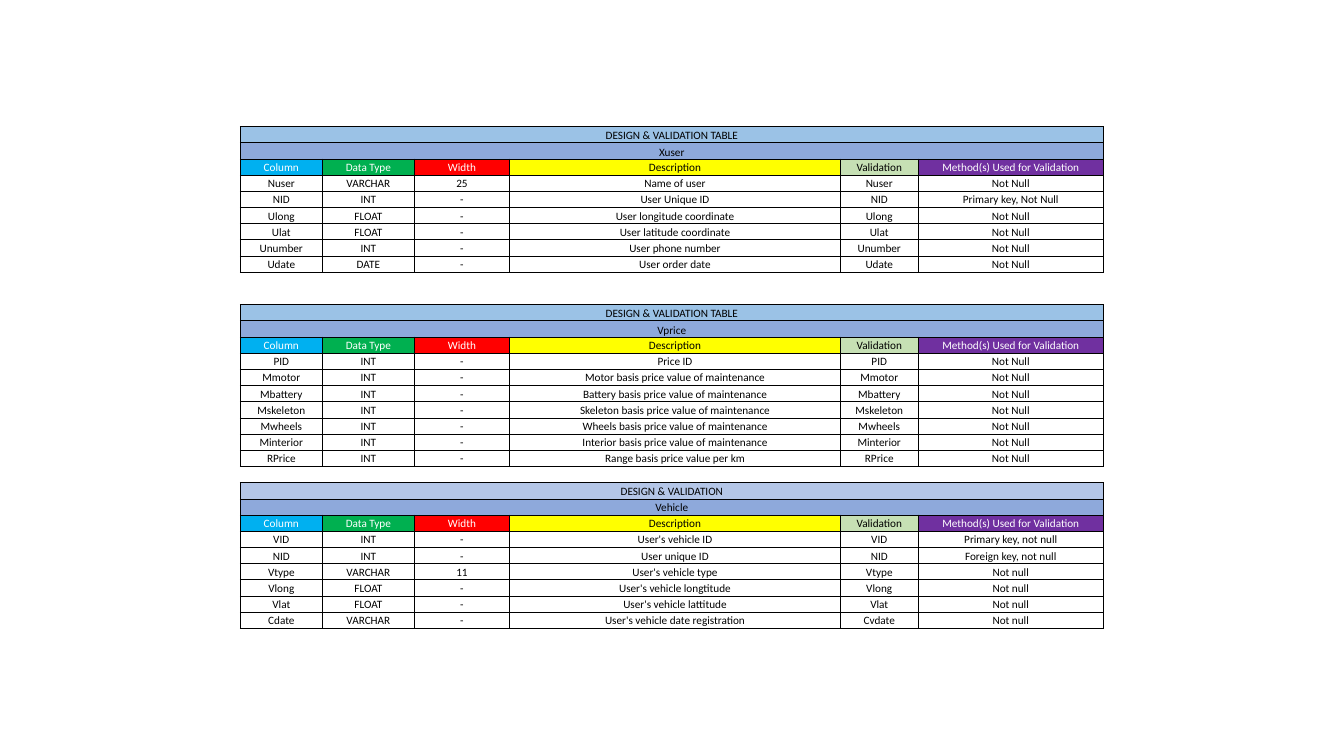
from lxml import etree
from pptx import Presentation
from pptx.dml.color import RGBColor
from pptx.enum import text
from pptx.oxml import ns
from pptx.util import Pt

BLACK, WHITE = "000000", "FFFFFF"
BOTTOM, MIDDLE = text.MSO_ANCHOR.BOTTOM, text.MSO_ANCHOR.MIDDLE
NO_STYLE = "{2D5ABB26-0587-4C30-8999-92F81FD0307C}"
LEFT, TOP, ROW_HEIGHT = 128.7, 67.8, 8.69

COLUMNS = [
    ("Column", 44.0, "00B0F0", WHITE),
    ("Data Type", 49.3, "00B050", WHITE),
    ("Width", 51.0, "FF0000", WHITE),
    ("Description", 177.2, "FFFF00", BLACK),
    ("Validation", 41.7, "C6E0B4", BLACK),
    ("Method(s) Used for Validation", 99.2, "7030A0", WHITE),
]

SECTIONS = [
    {"title": "DESIGN & VALIDATION TABLE", "name": "Xuser",
     "fill": "9BC2E6", "anchor": BOTTOM, "gap": 2,
     "fields": [
         ("Nuser", "VARCHAR", "25", "Name of user", "Nuser", "Not Null"),
         ("NID", "INT", "-", "User Unique ID", "NID", "Primary key, Not Null"),
         ("Ulong", "FLOAT", "-", "User longitude coordinate", "Ulong", "Not Null"),
         ("Ulat", "FLOAT", "-", "User latitude coordinate", "Ulat", "Not Null"),
         ("Unumber", "INT", "-", "User phone number", "Unumber", "Not Null"),
         ("Udate", "DATE", "-", "User order date", "Udate", "Not Null"),
     ]},
    {"title": "DESIGN & VALIDATION TABLE", "name": "Vprice",
     "fill": "9BC2E6", "anchor": BOTTOM, "gap": 1,
     "fields": [(field, "INT", "-", description, field, "Not Null")
                for field, description in [
         ("PID", "Price ID"),
         ("Mmotor", "Motor basis price value of maintenance"),
         ("Mbattery", "Battery basis price value of maintenance"),
         ("Mskeleton", "Skeleton basis price value of maintenance"),
         ("Mwheels", "Wheels basis price value of maintenance"),
         ("Minterior", "Interior basis price value of maintenance"),
         ("RPrice", "Range basis price value per km"),
     ]]},
    {"title": "DESIGN & VALIDATION", "name": "Vehicle",
     "fill": "B4C6E7", "anchor": MIDDLE, "gap": 0,
     "fields": [
         ("VID", "INT", "-", "User's vehicle ID", "VID", "Primary key, not null"),
         ("NID", "INT", "-", "User unique ID", "NID", "Foreign key, not null"),
         ("Vtype", "VARCHAR", "11", "User's vehicle type", "Vtype", "Not null"),
         ("Vlong", "FLOAT", "-", "User's vehicle longtitude", "Vlong", "Not null"),
         ("Vlat", "FLOAT", "-", "User's vehicle lattitude", "Vlat", "Not null"),
         ("Cdate", "VARCHAR", "-", "User's vehicle date registration", "Cvdate", "Not null"),
     ]},
]


def rgb(value):
    return RGBColor.from_string(value)


def add_borders(cell):
    tc_pr = cell._tc.get_or_add_tcPr()
    for side in ("a:lnL", "a:lnR", "a:lnT", "a:lnB"):
        ln = etree.SubElement(tc_pr, ns.qn(side), w=str(Pt(0.5)))
        fill = etree.SubElement(ln, ns.qn("a:solidFill"))
        etree.SubElement(fill, ns.qn("a:srgbClr"), val=BLACK)


def format_cell(cell, words="", fill=None, color=BLACK, anchor=MIDDLE, border=True):
    cell.margin_left = cell.margin_right = cell.margin_top = Pt(0.5)
    cell.margin_bottom = 0
    cell.vertical_anchor = anchor
    if border:
        add_borders(cell)
    if fill:
        cell.fill.solid()
        cell.fill.fore_color.rgb = rgb(fill)
    else:
        cell.fill.background()
    p = cell.text_frame.paragraphs[0]
    p.alignment = text.PP_ALIGN.CENTER
    if words:
        r = p.add_run()
        r.text = words
        r.font.name, r.font.size = "Calibri", Pt(6)
        r.font.color.rgb = rgb(color)
    else:
        etree.SubElement(p._p, ns.qn("a:endParaRPr"), sz="600")


def add_banner(table, row, words, fill, anchor):
    cells = list(table.rows[row].cells)
    for i, cell in enumerate(cells):
        format_cell(cell, "" if i else words, fill, anchor=anchor)
    cells[0].merge(cells[-1])


def main():
    prs = Presentation()
    prs.slide_width, prs.slide_height = Pt(720), Pt(405)
    s = prs.slides.add_slide(prs.slide_layouts[6])

    count = sum(3 + len(sec["fields"]) + sec["gap"] for sec in SECTIONS)
    width = sum(column[1] for column in COLUMNS)
    frame = s.shapes.add_table(count, len(COLUMNS), Pt(LEFT), Pt(TOP),
                               Pt(width), Pt(ROW_HEIGHT * count))
    table = frame.table
    table.first_row = table.horz_banding = False
    table._tbl.tblPr.find(ns.qn("a:tableStyleId")).text = NO_STYLE
    for column, (_, column_width, _, _) in zip(table.columns, COLUMNS):
        column.width = Pt(column_width)
    for table_row in table.rows:
        table_row.height = Pt(ROW_HEIGHT)

    row = 0
    for sec in SECTIONS:
        add_banner(table, row, sec["title"], sec["fill"], sec["anchor"])
        add_banner(table, row + 1, sec["name"], "8EA9DB", sec["anchor"])
        for i, (heading, _, fill, color) in enumerate(COLUMNS):
            format_cell(table.cell(row + 2, i), heading, fill, color)
        row += 3
        for field in sec["fields"]:
            for i, words in enumerate(field):
                format_cell(table.cell(row, i), words)
            row += 1
        for _ in range(sec["gap"]):
            for cell in table.rows[row].cells:
                format_cell(cell, border=False)
            row += 1

    prs.save("out.pptx")


if __name__ == "__main__":
    main()
